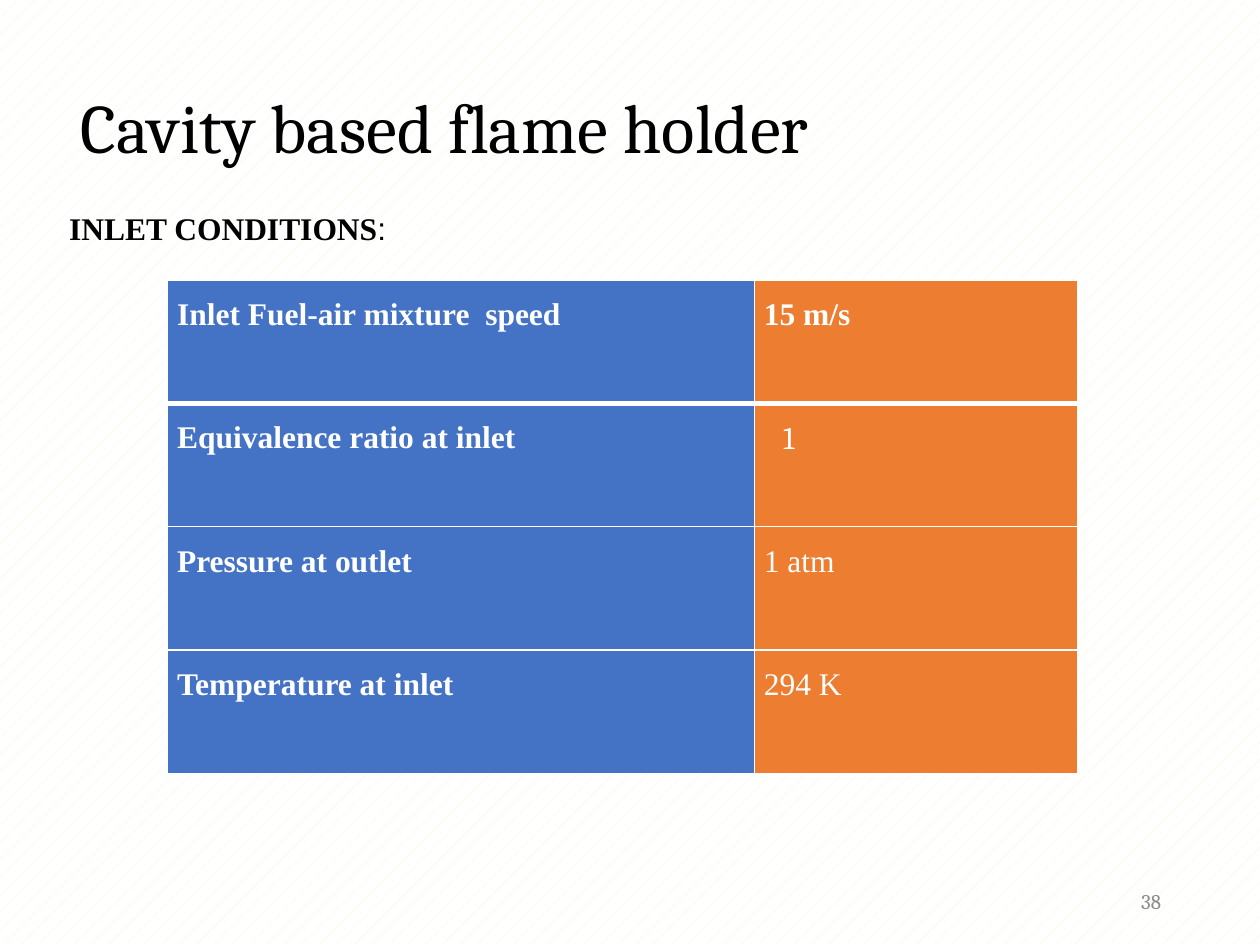
"""Builds the slide on inlet conditions of the cavity based flame holder."""
import pptx
import pptx.dml.color
import pptx.enum.dml
import pptx.enum.text
import pptx.oxml
import pptx.oxml.ns
import pptx.util

Pt = pptx.util.Pt
ALIGN = pptx.enum.text.PP_ALIGN
ANCHOR = pptx.enum.text.MSO_ANCHOR
AUTO_SIZE = pptx.enum.text.MSO_AUTO_SIZE

HEADING = "Cavity based flame holder"
SUBHEADING = [("INLET CONDITIONS", "Times New Roman", True), (":", "Arial", False)]
PAGE = "38"
CONDITIONS = [
    {"label": "Inlet Fuel-air mixture  speed", "value": "15 m/s", "bold": True},
    {"label": "Equivalence ratio at inlet", "value": "1", "font": "Cambria", "indent": 11},
    {"label": "Pressure at outlet", "value": "1 atm"},
    {"label": "Temperature at inlet", "value": "294 K"},
]
COLORS = {
    "text": "000000", "page": "8C8C8C", "white": "FFFFFF",
    "label": "4472C4", "value": "ED7D31", "pattern": "FFF2CC",
}
COLUMN_WIDTHS = (335.3, 185)
ROW_HEIGHT = 70.5


def rgb(name):
    return pptx.dml.color.RGBColor.from_string(COLORS[name])


def style(font, name, size, color, bold=False):
    font.name, font.size, font.bold = name, Pt(size), bold
    font.color.rgb = rgb(color)


def place(shape, left, top, width, height):
    shape.left, shape.top = Pt(left), Pt(top)
    shape.width, shape.height = Pt(width), Pt(height)


def set_borders(cell, bottom):
    properties = cell._tc.get_or_add_tcPr()
    widths = {"lnL": 1, "lnR": 1, "lnT": 1, "lnB": bottom}
    for position, (side, width) in enumerate(widths.items()):
        border = pptx.oxml.parse_xml(
            f'<a:{side} {pptx.oxml.ns.nsdecls("a")} w="{Pt(width)}"><a:solidFill>'
            f'<a:srgbClr val="{COLORS["white"]}"/></a:solidFill></a:{side}>')
        properties.insert(position, border)


def fill_cell(cell, text, color, font="Times New Roman", bold=False, indent=0, bottom=1):
    cell.margin_left = cell.margin_right = Pt(5.4)
    cell.margin_top = cell.margin_bottom = 0
    cell.fill.solid()
    cell.fill.fore_color.rgb = rgb(color)
    paragraph = cell.text_frame.paragraphs[0]
    paragraph.text = text
    paragraph.alignment = ALIGN.JUSTIFY
    paragraph.line_spacing = 1.5
    style(paragraph.font, font, 18, "white", bold)
    if indent:
        paragraph._p.get_or_add_pPr().set("marL", str(Pt(indent)))
    set_borders(cell, bottom)


def add_heading(slide):
    heading = slide.shapes.title
    place(heading, 38.9, 23, 620.6, 77.8)
    frame = heading.text_frame
    frame.text = HEADING
    frame.auto_size = AUTO_SIZE.NONE
    frame.vertical_anchor = ANCHOR.BOTTOM
    frame.margin_bottom = Pt(6.5)
    paragraph = frame.paragraphs[0]
    paragraph.alignment = ALIGN.LEFT
    paragraph.line_spacing = 0.7
    style(paragraph.font, "Cambria", 39.6, "text")


def add_subheading(slide):
    subheading = slide.shapes.add_textbox(Pt(32.4), Pt(116), Pt(197.3), Pt(29))
    frame = subheading.text_frame
    frame.word_wrap = False
    frame.vertical_anchor = ANCHOR.MIDDLE
    for text, font, bold in SUBHEADING:
        run = frame.paragraphs[0].add_run()
        run.text = text
        style(run.font, font, 18, "text", bold)


def add_conditions(slide):
    conditions = slide.shapes.add_table(
        len(CONDITIONS), len(COLUMN_WIDTHS), Pt(95.8), Pt(160),
        Pt(sum(COLUMN_WIDTHS)), Pt(ROW_HEIGHT * len(CONDITIONS))).table
    for column, width in zip(conditions.columns, COLUMN_WIDTHS):
        column.width = Pt(width)
    for index, condition in enumerate(CONDITIONS):
        conditions.rows[index].height = Pt(ROW_HEIGHT)
        bottom = 3 if index == 0 else 1
        fill_cell(conditions.cell(index, 0), condition["label"], "label",
                  bold=True, bottom=bottom)
        fill_cell(conditions.cell(index, 1), condition["value"], "value",
                  condition.get("font", "Times New Roman"),
                  condition.get("bold", False), condition.get("indent", 0), bottom)


def add_page_number(slide):
    page = slide.shapes.add_textbox(Pt(508.5), Pt(500.5), Pt(162), Pt(28.8))
    frame = page.text_frame
    frame.word_wrap = True
    frame.vertical_anchor = ANCHOR.MIDDLE
    paragraph = frame.paragraphs[0]
    paragraph.text = PAGE
    paragraph.alignment = ALIGN.RIGHT
    style(paragraph.font, "Cambria", 12, "page")


def main():
    deck = pptx.Presentation()
    deck.slide_width, deck.slide_height = Pt(720), Pt(540)
    slide = deck.slides.add_slide(deck.slide_layouts[5])
    backdrop = slide.background.fill
    backdrop.patterned()
    backdrop.pattern = pptx.enum.dml.MSO_PATTERN.PERCENT_5
    backdrop.fore_color.rgb = rgb("pattern")
    backdrop.back_color.rgb = rgb("white")
    add_heading(slide)
    add_subheading(slide)
    add_conditions(slide)
    add_page_number(slide)
    deck.save("out.pptx")


if __name__ == "__main__":
    main()
